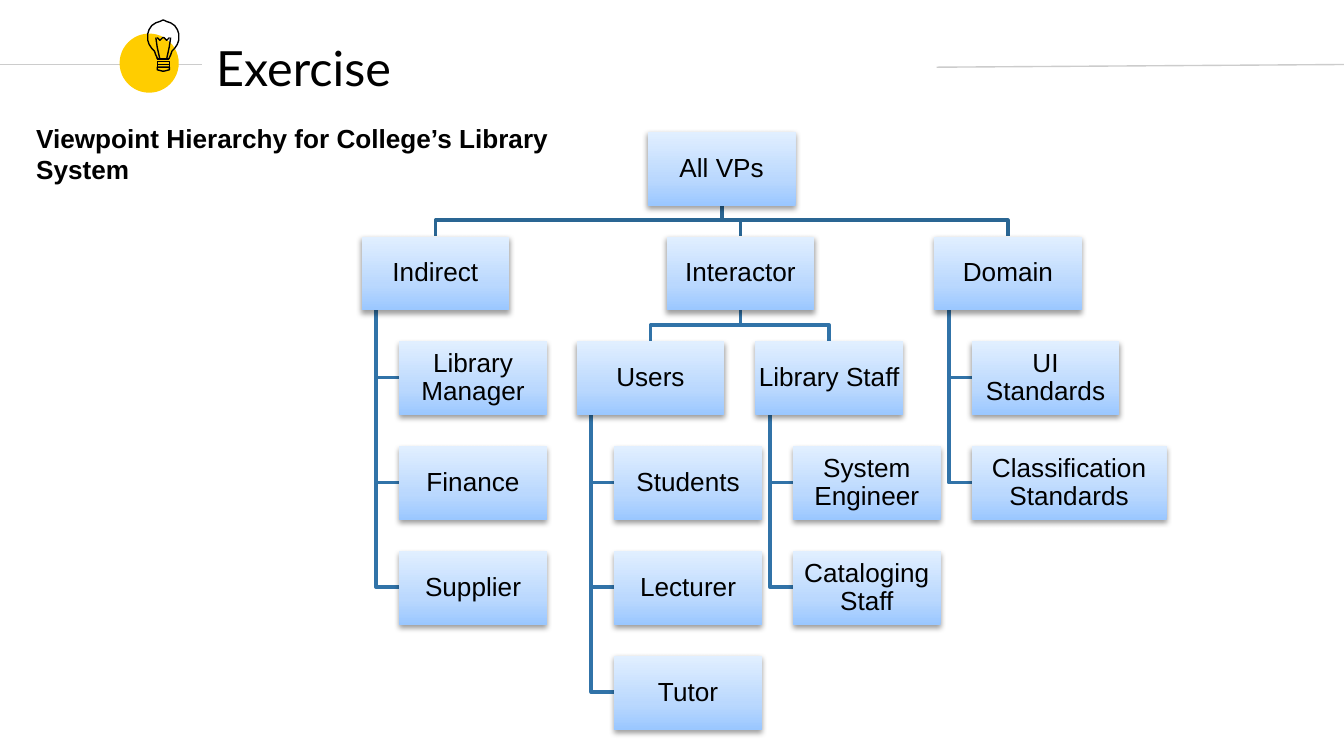
from dataclasses import dataclass
from typing import Any, Iterator

from lxml import etree
from pptx import Presentation
from pptx.dml.color import RGBColor
from pptx.enum.shapes import MSO_CONNECTOR, MSO_SHAPE
from pptx.enum.text import MSO_ANCHOR, PP_ALIGN
from pptx.oxml.ns import qn
from pptx.slide import Slide
from pptx.text.text import TextFrame
from pptx.util import Pt

PX = 9144
SLIDE_WIDTH = 1000 * PX
SLIDE_HEIGHT = SLIDE_WIDTH * 9 // 16
STRAIGHT = MSO_CONNECTOR.STRAIGHT
RECTANGLE, OVAL = MSO_SHAPE.RECTANGLE, MSO_SHAPE.OVAL
MIDDLE, TOP = MSO_ANCHOR.MIDDLE, MSO_ANCHOR.TOP
LEFT, CENTER = PP_ALIGN.LEFT, PP_ALIGN.CENTER

BOX_WIDTH, BOX_HEIGHT = 110, 55
FIRST_ROW, ROW_PITCH = 98, 78
TRUNK_INDENT, LEAF_INDENT = 11, 28

Point = tuple[int, int]


@dataclass(frozen=True)
class Theme:
    ink: str = "000000"
    paper: str = "FFFFFF"
    rule: str = "CCCCCC"
    accent: str = "FFCD00"
    upper_link: str = "2A6693"
    lower_link: str = "3173A8"
    box_stops: tuple[tuple[int, str], ...] = (
        (0, "9AC7FF"), (35, "BAD8FE"), (100, "E1EFFF"))
    heading_font: str = "Lato"
    body_font: str = "Arial"
    heading_size: int = 26
    body_size: int = 14
    thin: float = 0.75
    thick: float = 2


THEME = Theme()


@dataclass(frozen=True)
class Viewpoint:
    label: str
    left: int
    row: int
    branches: tuple["Viewpoint", ...] = ()
    leaves: tuple["Viewpoint", ...] = ()
    width: int = BOX_WIDTH

    @property
    def top(self) -> int:
        return FIRST_ROW + ROW_PITCH * self.row

    @property
    def bottom(self) -> int:
        return self.top + BOX_HEIGHT

    @property
    def center(self) -> int:
        return self.left + self.width // 2


@dataclass(frozen=True)
class Stroke:
    points: tuple[Point, ...]
    closed: bool = False


def with_leaves(label: str, left: int, row: int, *leaves: tuple[str, int]) -> Viewpoint:
    hanging = tuple(
        Viewpoint(name, left + LEAF_INDENT, row + step, width=width)
        for step, (name, width) in enumerate(leaves, 1))
    return Viewpoint(label, left, row, leaves=hanging)


INDIRECT = with_leaves("Indirect", 269, 1, ("Library Manager", BOX_WIDTH),
                       ("Finance", BOX_WIDTH), ("Supplier", BOX_WIDTH))
USERS = with_leaves("Users", 429, 2, ("Students", BOX_WIDTH),
                    ("Lecturer", BOX_WIDTH), ("Tutor", BOX_WIDTH))
STAFF = with_leaves("Library Staff", 562, 2, ("System Engineer", BOX_WIDTH),
                    ("Cataloging Staff", BOX_WIDTH))
DOMAIN = with_leaves("Domain", 695, 1, ("UI Standards", BOX_WIDTH),
                     ("Classification Standards", 145))
INTERACTOR = Viewpoint("Interactor", 496, 1, branches=(USERS, STAFF))
ALL_VIEWPOINTS = Viewpoint("All VPs", 482, 0, branches=(INDIRECT, INTERACTOR, DOMAIN))

GLASS_RIGHT: tuple[Point, ...] = (
    (126, 44), (126, 43), (127, 41), (128, 38), (130, 36), (132, 33), (133, 30),
    (133, 25), (132, 22), (130, 19), (127, 17), (124, 16), (122, 15))
GLASS_LEFT = tuple((243 - x, y) for x, y in reversed(GLASS_RIGHT))
BULB = (
    Stroke(((126, 50), (126, 48), (117, 48), (117, 50)), closed=True),
    Stroke(((126, 48), (126, 46), (117, 46), (117, 48)), closed=True),
    Stroke(((117, 50), (117, 52), (121, 53), (122, 53), (126, 52), (126, 50)), closed=True),
    Stroke(((119, 44), (117, 35), (116, 28))),
    Stroke(GLASS_RIGHT + GLASS_LEFT),
    Stroke(((127, 28), (126, 35), (124, 44))),
    Stroke(((117, 28), (119, 30), (121, 28), (122, 28), (124, 30), (126, 28))),
)


def apply_format(target: Any, values: dict[str, Any]) -> None:
    for attribute, value in values.items():
        setattr(target, attribute, value)


def write_text(frame: TextFrame, text: str, *, insets: Point, anchor: MSO_ANCHOR,
               align: PP_ALIGN, spacing: float, font: str, size: int,
               bold: bool = False) -> None:
    across, down = (inset * PX for inset in insets)
    apply_format(frame, {
        "word_wrap": True, "vertical_anchor": anchor,
        "margin_left": across, "margin_right": across,
        "margin_top": down, "margin_bottom": down})
    paragraph = frame.paragraphs[0]
    apply_format(paragraph, {"alignment": align, "line_spacing": spacing})
    run = paragraph.add_run()
    run.text = text
    apply_format(run.font, {"name": font, "size": Pt(size), "bold": bold})
    run.font.color.rgb = RGBColor.from_string(THEME.ink)


def draw_line(slide: Slide, start: Point, end: Point, color: str) -> None:
    line = slide.shapes.add_connector(
        STRAIGHT, *(value * PX for value in start + end))
    line.line.color.rgb = RGBColor.from_string(color)
    line.line.width = Pt(THEME.thin)
    etree.SubElement(line.element.spPr, qn("a:effectLst"))


def draw_stroke(slide: Slide, stroke: Stroke, color: str, width: float) -> None:
    builder = slide.shapes.build_freeform(*stroke.points[0], scale=PX)
    builder.add_line_segments(stroke.points[1:], close=stroke.closed)
    outline = builder.convert_to_shape()
    outline.fill.background()
    outline.line.color.rgb = RGBColor.from_string(color)
    outline.line.width = Pt(width)
    outline.shadow.inherit = False


def add_color(parent: Any, color: str) -> Any:
    return etree.SubElement(parent, qn("a:srgbClr"), val=color)


def draw_box(slide: Slide, viewpoint: Viewpoint) -> None:
    box = slide.shapes.add_shape(
        RECTANGLE, viewpoint.left * PX, viewpoint.top * PX,
        viewpoint.width * PX, BOX_HEIGHT * PX)
    box.fill.gradient()
    box.fill.gradient_angle = 90
    stops = box.element.spPr.find(".//" + qn("a:gsLst"))
    stops.clear()
    for percent, color in THEME.box_stops:
        add_color(etree.SubElement(stops, qn("a:gs"), pos=str(percent * 1000)), color)
    box.line.fill.background()
    box.shadow.inherit = False
    effects = box.element.spPr.find(qn("a:effectLst"))
    shadow = etree.SubElement(
        effects, qn("a:outerShdw"), blurRad=str(Pt(3.1)), dist=str(Pt(1.6)),
        dir="5400000", rotWithShape="0")
    etree.SubElement(add_color(shadow, THEME.ink), qn("a:alpha"), val="38000")
    write_text(box.text_frame, viewpoint.label, insets=(1, 1), anchor=MIDDLE,
               align=CENTER, spacing=0.9, font=THEME.body_font, size=THEME.body_size)


def family(viewpoint: Viewpoint) -> Iterator[Viewpoint]:
    yield viewpoint
    for child in viewpoint.branches + viewpoint.leaves:
        yield from family(child)


def draw_links(slide: Slide, parent: Viewpoint) -> None:
    color = THEME.lower_link if parent.row else THEME.upper_link
    for child in parent.branches:
        bus = (parent.bottom + child.top) // 2
        draw_stroke(slide, Stroke((
            (parent.center, parent.bottom), (parent.center, bus),
            (child.center, bus), (child.center, child.top))), color, THEME.thick)
    trunk = parent.left + TRUNK_INDENT
    for leaf in parent.leaves:
        middle = leaf.top + BOX_HEIGHT // 2
        draw_stroke(slide, Stroke((
            (trunk, parent.bottom), (trunk, middle), (leaf.left, middle))),
            color, THEME.thick)


def draw_header(slide: Slide) -> None:
    draw_line(slide, (0, 48), (150, 48), THEME.rule)
    disc = slide.shapes.add_shape(OVAL, 89 * PX, 25 * PX, 44 * PX, 44 * PX)
    disc.fill.solid()
    disc.fill.fore_color.rgb = RGBColor.from_string(THEME.accent)
    disc.line.fill.background()
    disc.shadow.inherit = False
    draw_line(slide, (697, 50), (1000, 48), THEME.rule)
    heading = slide.shapes.add_textbox(151 * PX, 26 * PX, 243 * PX, 48 * PX)
    heading.fill.solid()
    heading.fill.fore_color.rgb = RGBColor.from_string(THEME.paper)
    write_text(heading.text_frame, "Exercise", insets=(10, 10), anchor=MIDDLE,
               align=LEFT, spacing=1.0, font=THEME.heading_font, size=THEME.heading_size)
    for stroke in BULB:
        draw_stroke(slide, stroke, THEME.ink, THEME.thin)
    draw_line(slide, (117, 44), (126, 44), THEME.ink)


def main() -> None:
    deck = Presentation()
    apply_format(deck, {"slide_width": SLIDE_WIDTH, "slide_height": SLIDE_HEIGHT})
    slide = deck.slides.add_slide(deck.slide_layouts[6])
    draw_header(slide)
    viewpoints = list(family(ALL_VIEWPOINTS))
    for viewpoint in viewpoints:
        draw_links(slide, viewpoint)
    for viewpoint in viewpoints:
        draw_box(slide, viewpoint)
    subject = slide.shapes.add_textbox(17 * PX, 86 * PX, 432 * PX, 57 * PX)
    write_text(subject.text_frame, "Viewpoint Hierarchy for College’s Library System",
               insets=(10, 5), anchor=TOP, align=LEFT, spacing=1.0,
               font=THEME.body_font, size=THEME.body_size, bold=True)
    deck.save("out.pptx")


if __name__ == "__main__":
    main()
